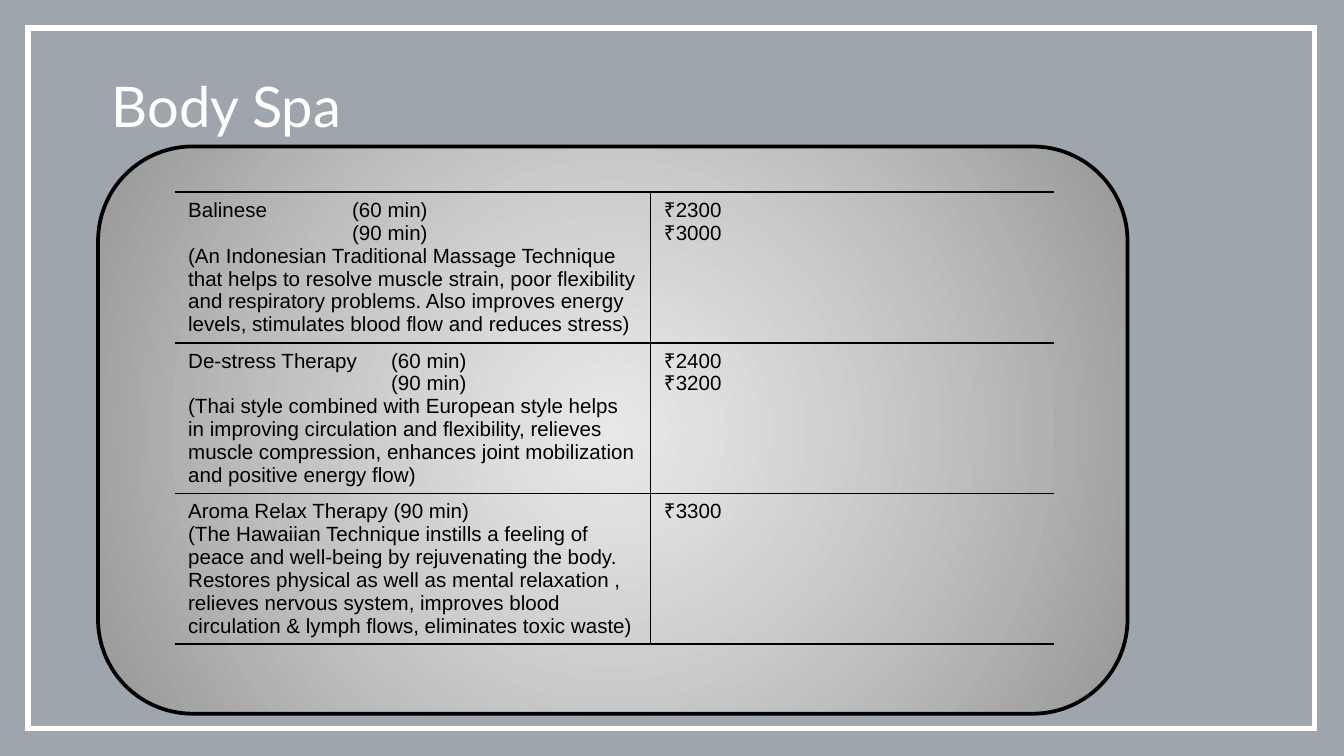
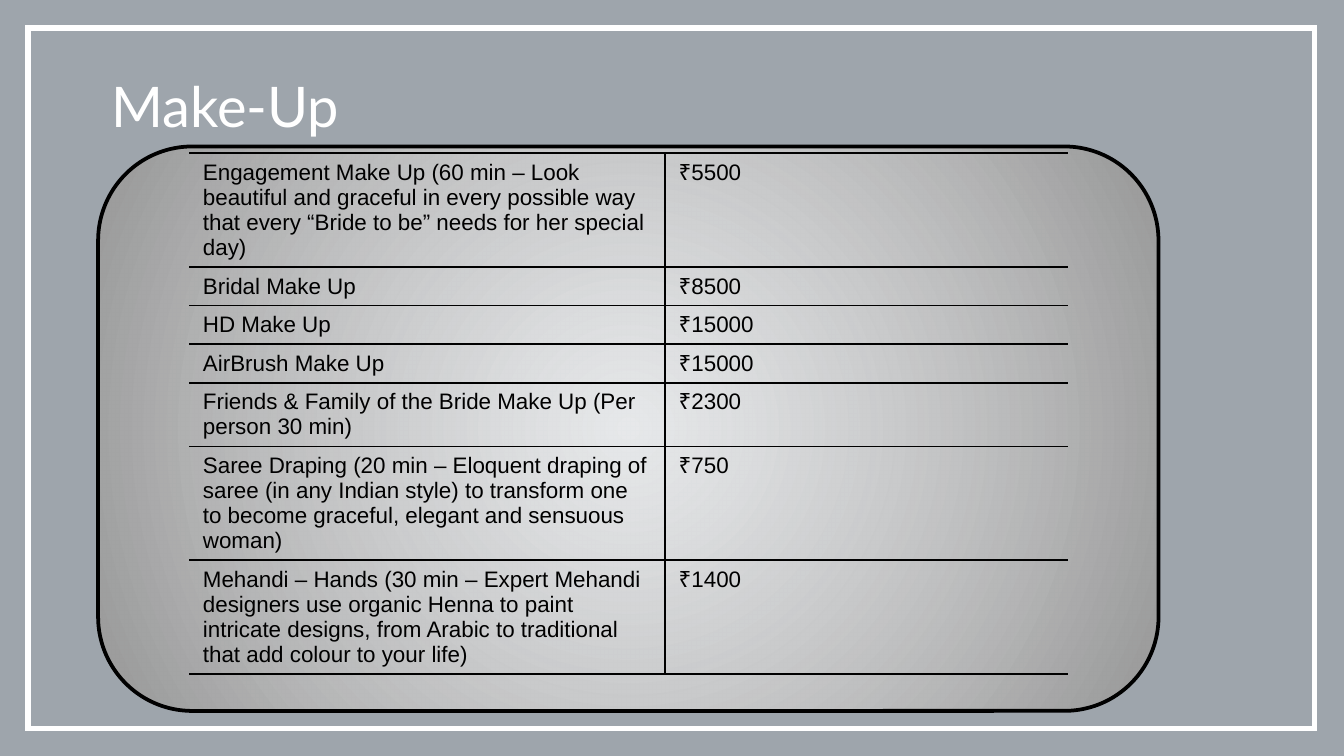
import pptx
import pptx.dml.color
import pptx.enum.shapes
import pptx.enum.text
import pptx.oxml
import pptx.oxml.ns
import pptx.util
from lxml import etree
from pptx.util import Inches

BLACK = "000000"
WHITE = "FFFFFF"
NAVY = "021526"
GREY = "979797"
TITLE_FONT = "Lato"
BODY_FONT = "Arial"
SLIDE_WIDTH = Inches(10)
SLIDE_HEIGHT = SLIDE_WIDTH * 9 // 16
PANEL_LEFT, PANEL_TOP = 0.73, 1.09
COLUMN_WIDTHS = (3.54, 3)
MIN_ROW_HEIGHT = 0.2
PLAIN_TABLE_STYLE = "{2D5ABB26-0587-4C30-8999-92F81FD0307C}"
NAMESPACE = 'xmlns:a="http://schemas.openxmlformats.org/drawingml/2006/main"'

BODY_SPA = [
    (["Balinese\t(60 min)", "\t(90 min)",
      "(An Indonesian Traditional Massage Technique that helps to resolve muscle strain, "
      "poor flexibility and respiratory problems. Also improves energy levels, stimulates "
      "blood flow and reduces stress)"], ["₹2300", "₹3000"], 1.22),
    (["De-stress Therapy\t(60 min)", "\t(90 min)",
      "(Thai style combined with European style helps in improving circulation and "
      "flexibility, relieves muscle compression, enhances joint mobilization and positive "
      "energy flow)"], ["₹2400", "₹3200"], 1.51),
    (["Aroma Relax Therapy (90 min)",
      "(The Hawaiian Technique instills a feeling of peace and well-being by rejuvenating "
      "the body. Restores physical as well as mental relaxation , relieves nervous system, "
      "improves blood circulation & lymph flows, eliminates toxic waste)"], ["₹3300"], None),
]

MAKE_UP = [
    (["Engagement Make Up (60 min – Look beautiful and graceful in every possible way that "
      "every “Bride to be” needs for her special day)"], ["₹5500"], None),
    (["Bridal Make Up"], ["₹8500"], None),
    (["HD Make Up"], ["₹15000"], None),
    (["AirBrush Make Up"], ["₹15000"], None),
    (["Friends & Family of the Bride Make Up (Per person 30 min)"], ["₹2300"], None),
    (["Saree Draping (20 min – Eloquent draping of saree (in any Indian style) to transform "
      "one to become graceful, elegant and sensuous woman)"], ["₹750"], None),
    (["Mehandi – Hands (30 min – Expert Mehandi designers use organic Henna to paint "
      "intricate designs, from Arabic to traditional that add colour to your life)"],
     ["₹1400"], None),
]


def color(value):
    """Turn a hex string into a colour."""
    return pptx.dml.color.RGBColor.from_string(value)


def add_span(para, text, size, font, value):
    """Add one formatted run to a paragraph."""
    span = para.add_run()
    span.text = text
    span.font.size = pptx.util.Pt(size)
    span.font.name = font
    span.font.color.rgb = color(value)


def add_box(slide, kind, left, top, width, height, line=None, weight=0):
    """Add an unfilled preset shape with an optional outline."""
    box = slide.shapes.add_shape(
        kind, Inches(left), Inches(top), Inches(width), Inches(height))
    box.shadow.inherit = False
    box.fill.background()
    if line:
        box.line.color.rgb = color(line)
        box.line.width = pptx.util.Pt(weight)
        outline = box.element.spPr.find(pptx.oxml.ns.qn("a:ln"))
        etree.SubElement(outline, pptx.oxml.ns.qn("a:miter"), lim="800000")
    else:
        box.line.fill.background()
    return box


def add_backdrop(layout, slide):
    """Give the layout its tinted ground and white frame."""
    rectangle = pptx.enum.shapes.MSO_SHAPE.RECTANGLE
    tint = add_box(slide, rectangle, 0, 0, 10, 5.64)
    tint.fill.solid()
    tint.fill.fore_color.rgb = color(NAVY)
    shade = tint.element.find(".//" + pptx.oxml.ns.qn("a:srgbClr"))
    etree.SubElement(shade, pptx.oxml.ns.qn("a:alpha"), val="38000")
    frame = add_box(slide, rectangle, 0.21, 0.21, 9.57, 5.21, WHITE, 3)
    for index, box in enumerate((tint, frame)):
        layout.shapes.element.insert(2 + index, box.element)


def add_title(slide, text):
    """Place and format the slide title."""
    title = slide.shapes.title
    title.left, title.top = Inches(PANEL_LEFT), Inches(0.48)
    title.width, title.height = Inches(4.85), Inches(0.61)
    title.text_frame.vertical_anchor = pptx.enum.text.MSO_ANCHOR.MIDDLE
    para = title.text_frame.paragraphs[0]
    para.alignment = pptx.enum.text.PP_ALIGN.LEFT
    add_span(para, text, 30, TITLE_FONT, WHITE)


def add_panel(slide, width, height):
    """Add the rounded panel with a glow from its centre."""
    panel = add_box(slide, pptx.enum.shapes.MSO_SHAPE.ROUNDED_RECTANGLE,
                    PANEL_LEFT, PANEL_TOP, width, height, BLACK, 2)
    glow = pptx.oxml.parse_xml(
        f'<a:gradFill {NAMESPACE} rotWithShape="1"><a:gsLst>'
        f'<a:gs pos="0"><a:srgbClr val="{WHITE}"><a:alpha val="75000"/></a:srgbClr></a:gs>'
        f'<a:gs pos="100000"><a:srgbClr val="{GREY}"/></a:gs></a:gsLst>'
        '<a:path path="circle"><a:fillToRect l="50000" t="50000" r="50000" b="50000"/>'
        '</a:path></a:gradFill>')
    plain = panel.element.spPr.find(pptx.oxml.ns.qn("a:noFill"))
    panel.element.spPr.replace(plain, glow)


def set_borders(cell, sides):
    """Draw black borders on the given sides of a cell."""
    properties = cell._tc.get_or_add_tcPr()
    for index, side in enumerate(sides):
        properties.insert(index, pptx.oxml.parse_xml(
            f'<a:ln{side} {NAMESPACE} w="12700"><a:solidFill>'
            f'<a:srgbClr val="{BLACK}"/></a:solidFill></a:ln{side}>'))


def set_tab(para, position):
    """Set one left tab stop on a paragraph."""
    properties = para._p.get_or_add_pPr()
    properties.insert(0, pptx.oxml.parse_xml(
        f'<a:tabLst {NAMESPACE}><a:tab pos="{Inches(position)}" algn="l"/></a:tabLst>'))


def fill_cell(cell, lines, size, sides, tab):
    """Write a cell's paragraphs and style the cell."""
    cell.fill.background()
    set_borders(cell, sides)
    frame = cell.text_frame
    for index, line in enumerate(lines):
        para = frame.add_paragraph() if index else frame.paragraphs[0]
        if "\t" in line:
            set_tab(para, tab)
        add_span(para, line, size, BODY_FONT, BLACK)


def add_price_table(slide, services, left, top, size):
    """Add the two-column table of services and prices."""
    holder = slide.shapes.add_table(
        len(services), len(COLUMN_WIDTHS), Inches(left), Inches(top),
        Inches(sum(COLUMN_WIDTHS)), Inches(MIN_ROW_HEIGHT * len(services)))
    table = holder.table
    table.first_row = table.horz_banding = False
    holder.element.find(
        ".//" + pptx.oxml.ns.qn("a:tableStyleId")).text = PLAIN_TABLE_STYLE
    for column, width in zip(table.columns, COLUMN_WIDTHS):
        column.width = Inches(width)
    for row, (service, prices, tab) in zip(table.rows, services):
        row.height = Inches(MIN_ROW_HEIGHT)
        fill_cell(row.cells[0], service, size, "RTB", tab)
        fill_cell(row.cells[1], prices, size, "LTB", tab)


def main():
    """Build the price list deck."""
    deck = pptx.Presentation()
    deck.slide_width, deck.slide_height = SLIDE_WIDTH, SLIDE_HEIGHT
    layout = deck.slide_layouts.get_by_name("Title Only")

    body_spa = deck.slides.add_slide(layout)
    add_backdrop(layout, body_spa)
    add_title(body_spa, "Body Spa")
    add_panel(body_spa, 7.66, 4.22)
    add_price_table(body_spa, BODY_SPA, 1.3, 1.43, 11)

    make_up = deck.slides.add_slide(layout)
    add_title(make_up, "Make-Up")
    add_panel(make_up, 7.89, 4.2)
    add_price_table(make_up, MAKE_UP, 1.41, 1.14, 12)

    deck.save("out.pptx")


if __name__ == "__main__":
    main()
